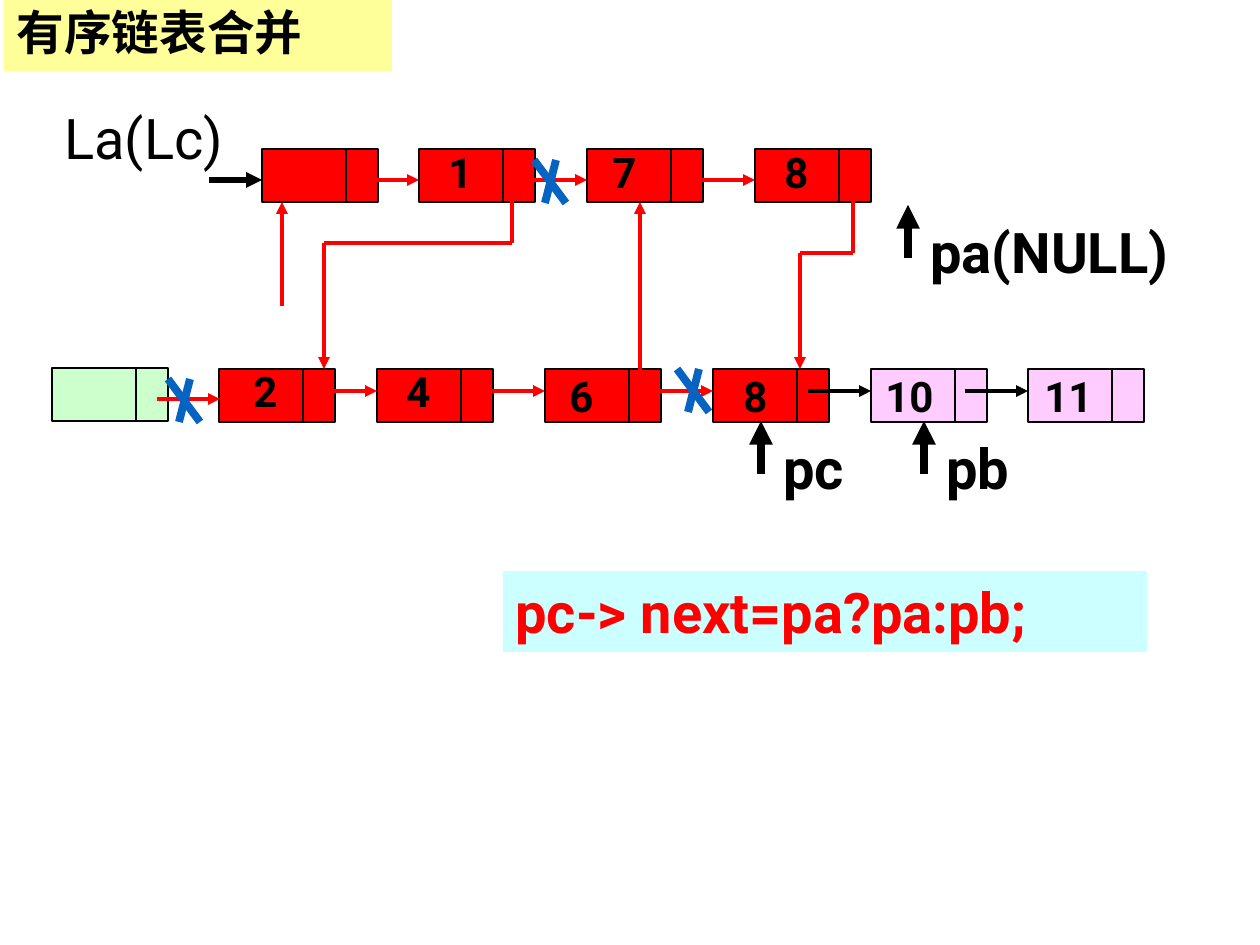
import pptx
import pptx.util
import pptx.dml.color
import pptx.enum.shapes
import pptx.enum.text
import pptx.oxml
from pptx.oxml.ns import qn
from lxml import etree

RGB = pptx.dml.color.RGBColor
BLACK = RGB(0, 0, 0)
RED = RGB(0xFF, 0, 0)
PINK = RGB(0xFF, 0xCC, 0xFF)
GREEN = RGB(0xCC, 0xFF, 0xCC)
YELLOW = RGB(0xFF, 0xFF, 0x99)
CYAN = RGB(0xCC, 0xFF, 0xFF)
BLUE = RGB(0x05, 0x63, 0xC1)

DATA_W, NEXT_W, NODE_H = 84, 32, 53
LINK_W = 63


def px(n):
    return pptx.util.Emu(n * 914400 // 126)


def style_text(sp, text, size, color=BLACK, bold=True, font="Roboto", wrap=True):
    tf = sp.text_frame
    tf.text = text
    tf.word_wrap = wrap
    p = tf.paragraphs[0]
    p.alignment = pptx.enum.text.PP_ALIGN.LEFT
    f = p.runs[0].font
    f.name, f.size, f.bold = font, pptx.util.Pt(size), bold
    f.color.rgb = color
    ea = etree.SubElement(p.runs[0]._r.get_or_add_rPr(), qn("a:ea"))
    ea.set("typeface", font)
    return tf


def add_label(slide, x, y, w, h, text, size, bold=True, wrap=False):
    sp = slide.shapes.add_textbox(px(x), px(y), px(w), px(h))
    style_text(sp, text, size, bold=bold, wrap=wrap)


def add_rect(slide, x, y, w, h, fill, line=None):
    sp = slide.shapes.add_shape(pptx.enum.shapes.MSO_SHAPE.RECTANGLE,
                                px(x), px(y), px(w), px(h))
    sp.shadow.inherit = False
    sp.fill.solid()
    sp.fill.fore_color.rgb = fill
    if line is None:
        sp.line.fill.background()
    else:
        sp.line.color.rgb = line
        sp.line.width = pptx.util.Pt(0.75)
    return sp


def add_path(slide, points, color=RED, width=2.25, arrow=True):
    """Straight segments through the points, with an arrowhead at the end."""
    for (x1, y1), (x2, y2) in zip(points, points[1:]):
        c = slide.shapes.add_connector(pptx.enum.shapes.MSO_CONNECTOR.STRAIGHT,
                                       px(x1), px(y1), px(x2), px(y2))
        c.line.color.rgb = color
        c.line.width = pptx.util.Pt(width)
        etree.SubElement(c._element.spPr, qn("a:effectLst"))
    if arrow:
        etree.SubElement(c.line._get_or_add_ln(), qn("a:tailEnd")).set("type", "triangle")


def add_link(slide, x, y, color=RED):
    add_path(slide, [(x - LINK_W, y), (x, y)], color)


def add_cross(slide, x, y):
    add_path(slide, [(x + 22, y), (x + 11, y + 43)], BLUE, 4.5, arrow=False)
    add_path(slide, [(x, y), (x + 32, y + 43)], BLUE, 4.5, arrow=False)


def add_pointer(slide, x, y, text, w):
    add_path(slide, [(x, y + 53), (x, y)], BLACK, 4.5)
    add_label(slide, x + 10, y + 6, w, 81, text, 32)


def add_list(slide, y, link_y, nodes):
    """A row of nodes (x, fill, value, value dx, value dy, link colour)."""
    for x, fill, *_ in nodes:
        add_rect(slide, x, y, DATA_W, NODE_H, fill, BLACK)
        add_rect(slide, x + DATA_W, y, NEXT_W, NODE_H, fill, BLACK)
    for x, fill, value, dx, dy, link in nodes:
        if link is not None:
            add_link(slide, x, link_y, link)
        if value:
            add_label(slide, x + dx, y + dy, 49 if len(value) == 1 else 73, 63, value, 24)


def add_title(slide, x, y, w, h):
    sp = slide.shapes.title
    sp.left, sp.top, sp.width, sp.height = px(x), px(y), px(w), px(h)
    sp.fill.solid()
    sp.fill.fore_color.rgb = YELLOW
    tf = style_text(sp, "有序链表合并", 27.2, font="Noto Sans CJK SC")
    tf.vertical_anchor = pptx.enum.text.MSO_ANCHOR.MIDDLE
    tf.auto_size = pptx.enum.text.MSO_AUTO_SIZE.NONE
    tf.paragraphs[0].line_spacing = 0.9


def add_code(slide, x, y, w, h):
    sp = add_rect(slide, x, y, w, h, CYAN)
    tf = style_text(sp, "pc-> next=pa?pa:pb;", 32, RED)
    tf.vertical_anchor = pptx.enum.text.MSO_ANCHOR.TOP


def main():
    prs = pptx.Presentation()
    prs.slide_width, prs.slide_height = px(1260), px(945)
    slide = prs.slides.add_slide(prs.slide_layouts[5])
    add_title(slide, 4, 0, 388, 71)

    # Merged list and second list
    add_list(slide, 149, 180, [
        (262, RED, "", 0, 0, None),
        (419, RED, "1", 17, -9, RED),
        (587, RED, "7", 13, -9, RED),
        (755, RED, "8", 17, -9, RED),
    ])
    add_list(slide, 369, 391, [
        (219, RED, "2", 22, -10, None),
        (377, RED, "4", 17, -10, RED),
        (545, RED, "6", 12, -5, RED),
        (713, RED, "8", 18, -5, RED),
        (871, PINK, "10", 2, -5, BLACK),
        (1028, PINK, "11", 4, -5, BLACK),
    ])
    add_list(slide, 368, 399, [(52, GREEN, "", 0, 0, None)])
    add_link(slide, 220, 399)

    # Links rewired between the rows
    add_path(slide, [(282, 306), (282, 202)])
    add_path(slide, [(512, 180), (512, 243), (324, 243), (324, 369)])
    add_path(slide, [(640, 391), (640, 202)])
    add_path(slide, [(853, 180), (853, 253), (800, 253), (800, 369)])

    # Links cut
    for x, y in [(534, 160), (677, 369), (168, 379)]:
        add_cross(slide, x, y)

    # Head and working pointers
    add_label(slide, 52, 97, 186, 81, "La(Lc)", 32, bold=False, wrap=True)
    add_path(slide, [(209, 180), (262, 180)], BLACK, 3)
    add_pointer(slide, 908, 205, "pa(NULL)", 318)
    add_pointer(slide, 924, 421, "pb", 96)
    add_pointer(slide, 761, 421, "pc", 90)

    add_code(slide, 503, 571, 644, 81)
    prs.save("out.pptx")


if __name__ == "__main__":
    main()
